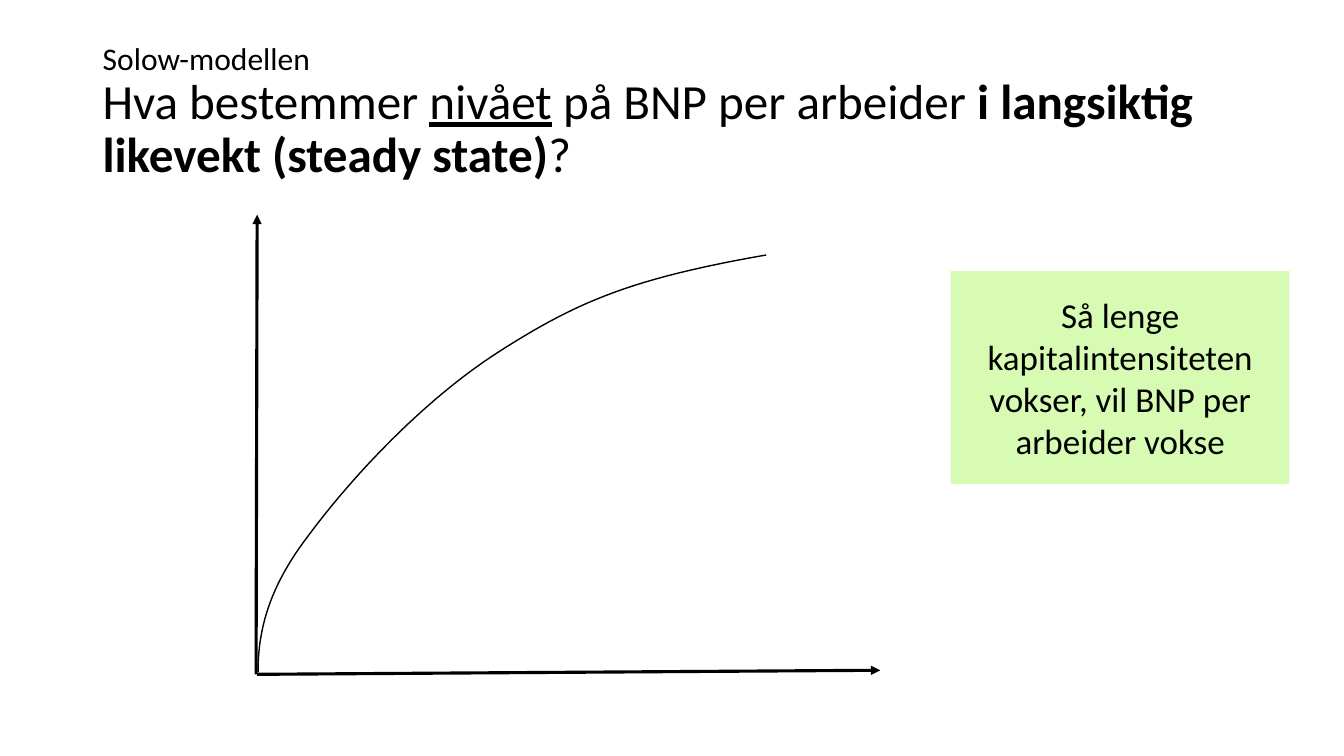
from pptx import Presentation
from pptx.dml.color import RGBColor
from pptx.enum.shapes import MSO_CONNECTOR, MSO_SHAPE
from pptx.enum.text import MSO_ANCHOR, PP_ALIGN
from pptx.oxml.ns import qn
from pptx.util import Inches, Pt
from lxml import etree

STRAIGHT = MSO_CONNECTOR.STRAIGHT
RECTANGLE = MSO_SHAPE.RECTANGLE
MIDDLE = MSO_ANCHOR.MIDDLE
CENTER = PP_ALIGN.CENTER

FONT = "Calibri"
BLACK = "000000"
GREEN = "B8F977"
GREEN_OPACITY = 56
STEPS_PER_CURVE = 24

TITLE_BOX = (0.92, 0.4, 11.5, 1.45)
DIAGRAM_BOX = (2.55, 2.13, 6.18, 4.56)
CALLOUT_BOX = (9.43, 2.69, 3.36, 2.11)

TITLE_SPANS = [
    ("Hva bestemmer ", {}),
    ("nivået", {"underline": True}),
    (" på BNP per arbeider ", {}),
    ("i langsiktig likevekt (steady state)", {"bold": True}),
    ("?", {}),
]

# Cubic Bézier control points, in inches right of and above the origin.
CURVE_START = (0.01, 0.02)
CURVE_PIECES = [
    ((0.01, 0.43), (0.11, 0.86), (0.52, 1.39)),
    ((0.92, 1.93), (1.65, 2.73), (2.43, 3.22)),
    ((3.2, 3.71), (3.74, 3.93), (5.05, 4.16)),
]


def color(hex_string):
    return RGBColor.from_string(hex_string)


def add_span(para, text, size, **formats):
    span = para.add_run()
    span.text = text
    span.font.color.rgb = color(BLACK)
    for name, value in {"name": FONT, "size": Pt(size), **formats}.items():
        setattr(span.font, name, value)


def set_line(shape, width):
    shape.line.color.rgb = color(BLACK)
    shape.line.width = Pt(width)


def add_title(page, box):
    frame = page.shapes.add_textbox(*map(Inches, box)).text_frame
    frame.word_wrap = True
    frame.vertical_anchor = MIDDLE
    para = frame.paragraphs[0]
    para.line_spacing = 0.9
    add_span(para, "Solow-modellen", 22.5)
    para.add_line_break()
    for text, formats in TITLE_SPANS:
        add_span(para, text, 35.1, **formats)


def add_axis(page, start, end):
    axis = page.shapes.add_connector(STRAIGHT, *map(Inches, start + end))
    set_line(axis, 2.25)
    outline = axis.line._get_or_add_ln()
    etree.SubElement(outline, qn("a:tailEnd"), type="triangle")
    etree.SubElement(axis._element.spPr, qn("a:effectLst"))


def curve_points():
    """Sample the production curve as offsets from the origin."""
    start = CURVE_START
    points = [start]
    for first, second, end in CURVE_PIECES:
        for step in range(1, STEPS_PER_CURVE + 1):
            t = step / STEPS_PER_CURVE
            weights = ((1 - t) ** 3, 3 * t * (1 - t) ** 2,
                       3 * t ** 2 * (1 - t), t ** 3)
            controls = (start, first, second, end)
            points.append(tuple(
                sum(w * point[i] for w, point in zip(weights, controls))
                for i in range(2)))
        start = end
    return points


def add_diagram(page, box):
    left, top, width, height = box
    bottom = top + height
    add_axis(page, (left - 0.01, bottom), (left, top))
    add_axis(page, (left, bottom), (left + width, bottom - 0.04))

    points = [(Inches(left + x), Inches(bottom - y)) for x, y in curve_points()]
    builder = page.shapes.build_freeform(*points[0])
    builder.add_line_segments(points[1:], close=False)
    curve = builder.convert_to_shape()
    curve.shadow.inherit = False
    curve.fill.background()
    set_line(curve, 1)


def add_callout(page, box):
    callout = page.shapes.add_shape(RECTANGLE, *map(Inches, box))
    callout.shadow.inherit = False
    callout.line.fill.background()
    callout.fill.solid()
    callout.fill.fore_color.rgb = color(GREEN)
    fill_color = callout._element.spPr.find(qn("a:solidFill"))[0]
    etree.SubElement(fill_color, qn("a:alpha"), val=str(GREEN_OPACITY * 1000))

    frame = callout.text_frame
    frame.word_wrap = True
    frame.vertical_anchor = MIDDLE
    para = frame.paragraphs[0]
    para.alignment = CENTER
    add_span(para, "Så lenge kapitalintensiteten vokser, "
                   "vil BNP per arbeider vokse", 25)


def main():
    deck = Presentation()
    deck.slide_width = Inches(13.33)
    deck.slide_height = Inches(7.5)
    page = deck.slides.add_slide(deck.slide_layouts[6])
    add_title(page, TITLE_BOX)
    add_diagram(page, DIAGRAM_BOX)
    add_callout(page, CALLOUT_BOX)
    deck.save("out.pptx")


if __name__ == "__main__":
    main()
